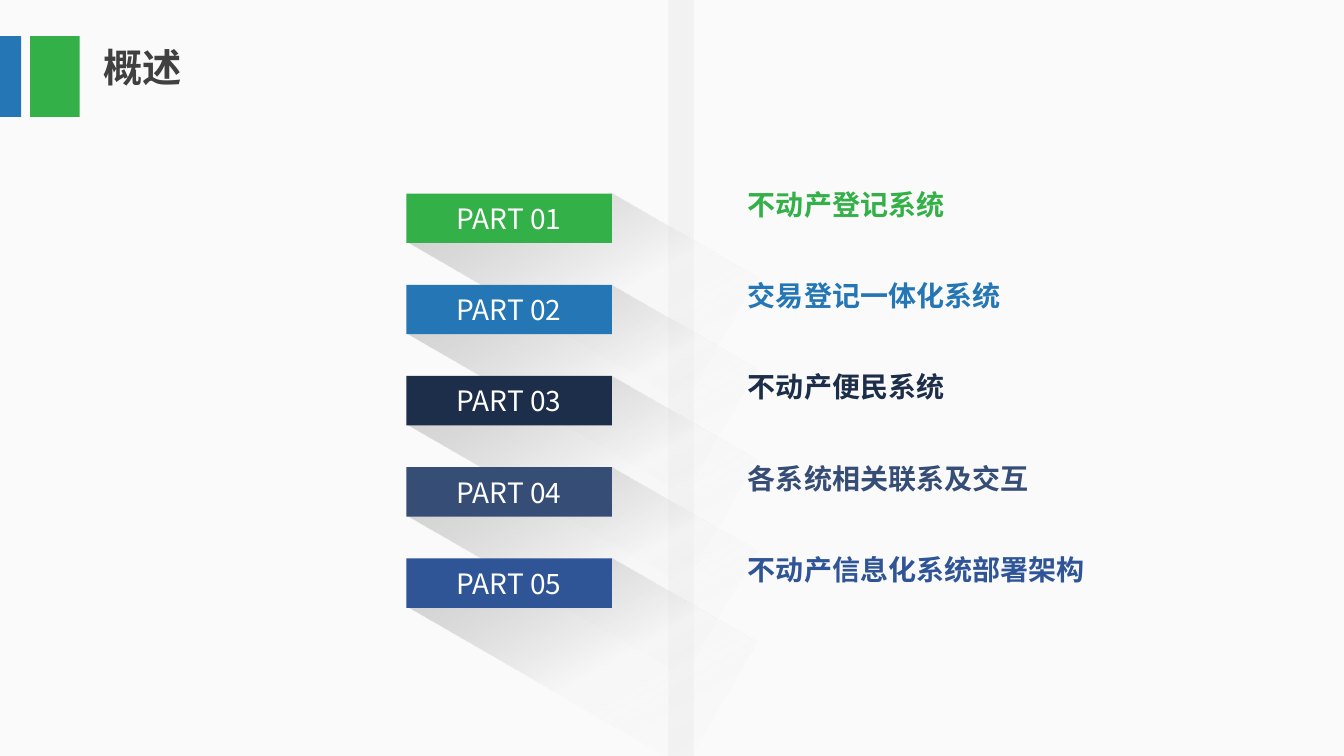
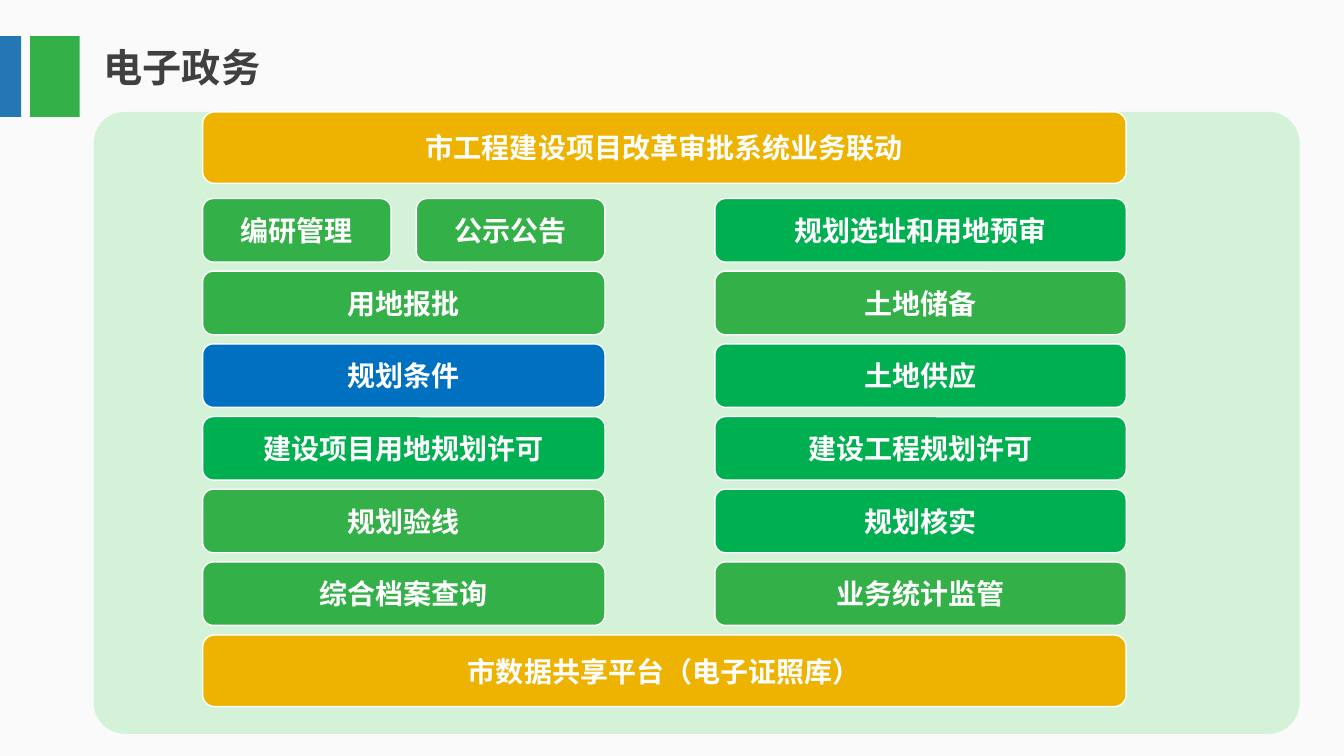
from dataclasses import dataclass

from lxml import etree
from pptx import Presentation
from pptx.dml.color import RGBColor
from pptx.enum import shapes, text
from pptx.oxml import ns
from pptx.util import Inches, Pt

RECT = shapes.MSO_SHAPE.RECTANGLE
ROUND = shapes.MSO_SHAPE.ROUNDED_RECTANGLE
LEFT, CENTER = text.PP_ALIGN.LEFT, text.PP_ALIGN.CENTER


@dataclass(frozen=True)
class Theme:
    font: str = "Noto Sans CJK SC"
    title_size: int = 28
    body_size: int = 20
    paper: str = "FAFAFA"
    band: str = "F2F2F2"
    ink: str = "404040"
    white: str = "FFFFFF"
    black: str = "000000"
    green: str = "33B048"
    blue: str = "2576B5"
    navy: str = "1D2E4B"
    slate: str = "364D76"
    royal: str = "2F5597"
    mint: str = "D3F2D8"
    emerald: str = "00B050"
    azure: str = "0070C0"
    amber: str = "EEB300"


T = Theme()


class Deck:
    """Style plus current slide; lengths are columns and rows of the grid."""
    COLS, ROWS = 133.3, 75

    def __init__(self):
        self.prs = Presentation()
        self.prs.slide_width, self.prs.slide_height = Inches(13.33), Inches(7.5)
        self.col = self.prs.slide_width / self.COLS
        self.row = self.prs.slide_height / self.ROWS
        self.paint(self.prs.slide_master.background.fill, T.paper)
        self.s = None

    def paint(self, fill, color):
        fill.solid()
        fill.fore_color.rgb = RGBColor.from_string(color)

    def place(self, x, y, w, h):
        return [round(n) for n in (x * self.col, y * self.row, w * self.col, h * self.row)]

    def new_slide(self):
        self.s = self.prs.slides.add_slide(self.prs.slide_layouts[6])

    def header(self, title):
        self.label(title, 9.3, 3.8, 36, 5.7, T.ink, T.title_size)
        self.box(3, 3.6, 4.9, 8, T.green)
        self.box(0, 3.6, 2.1, 8, T.blue)

    def set_text(self, tf, words, color, size=T.body_size, bold=True, align=LEFT):
        tf.word_wrap = True
        p = tf.paragraphs[0]
        p.alignment = align
        r = p.add_run()
        r.text = words
        style = {"size": Pt(size), "bold": bold, "name": T.font}
        for key, value in style.items():
            setattr(r.font, key, value)
        r.font.color.rgb = RGBColor.from_string(color)
        # East Asian typeface
        etree.SubElement(r._r.get_or_add_rPr(), ns.qn("a:ea"), typeface=T.font)

    def label(self, words, x, y, w, h, color, size=T.body_size):
        sp = self.s.shapes.add_textbox(*self.place(x, y, w, h))
        self.set_text(sp.text_frame, words, color, size)

    def box(self, x, y, w, h, color, words="", kind=RECT, line=None, bold=True, round_by=None):
        sp = self.s.shapes.add_shape(kind, *self.place(x, y, w, h))
        sp.shadow.inherit = False
        self.paint(sp.fill, color)
        if line:
            self.paint(sp.line.fill, line)
            sp.line.width = Pt(1)
        else:
            sp.line.fill.background()
        if round_by is not None:
            sp.adjustments[0] = round_by
        if words:
            sp.text_frame.vertical_anchor = text.MSO_ANCHOR.MIDDLE
            self.set_text(sp.text_frame, words, T.white, bold=bold, align=CENTER)

    def long_shadow(self, x, y, w, h):
        """Slanted shape, turned 30 degrees, that fades out down to the right."""
        corners = [(0, h), (0.48 * w, 0), (w, 0), (w, h)]
        pts = [self.place(x + dx, y + dy, 0, 0)[:2] for dx, dy in corners]
        fb = self.s.shapes.build_freeform(*pts[0])
        fb.add_line_segments(pts[1:], close=True)
        sp = fb.convert_to_shape()
        sp.rotation = 30
        sp.shadow.inherit = False
        sp.line.fill.background()
        # Gradient with transparent stops
        sp.fill.gradient()
        grad = sp._element.spPr.find(ns.qn("a:gradFill"))
        grad.set("rotWithShape", "0")
        for child in list(grad):
            grad.remove(child)
        stops = etree.SubElement(grad, ns.qn("a:gsLst"))
        for pos, color, alpha in ((0, T.black, 20), (61, T.band, 34), (100, T.band, 0)):
            gs = etree.SubElement(stops, ns.qn("a:gs"), pos=str(pos * 1000))
            clr = etree.SubElement(gs, ns.qn("a:srgbClr"), val=color)
            etree.SubElement(clr, ns.qn("a:alpha"), val=str(alpha * 1000))
        etree.SubElement(grad, ns.qn("a:lin"), ang=str(60 * 60000), scaled="0")


def overview(d):
    d.new_slide()
    d.box(66.3, 0, 2.5, d.ROWS, T.band)
    parts = [
        ("不动产登记系统", T.green),
        ("交易登记一体化系统", T.blue),
        ("不动产便民系统", T.navy),
        ("各系统相关联系及交互", T.slate),
        ("不动产信息化系统部署架构", T.royal),
    ]
    tops = [19.2 + 9.05 * i for i in range(len(parts))]
    # Shadows lie under every bar
    for y in tops:
        d.long_shadow(41.8, y - 0.6, 31.8, 14.3)
    d.header("概述")
    for i, (y, (words, color)) in enumerate(zip(tops, parts), 1):
        d.box(40.3, y, 20.4, 4.9, color, f"PART {i:02}", bold=False)
        d.label(words, 73.2, y - 1.1, 36, 4.4, color)


def e_government(d):
    d.new_slide()
    d.header("电子政务")
    d.box(9.3, 11.1, 119.6, 61.7, T.mint, kind=ROUND, round_by=0.05)
    left, right, left_w, right_w = 20.1, 70.9, 39.9, 40.8
    tile = {"kind": ROUND, "line": T.white}

    # Top and bottom bars
    for y, words in ((11.1, "市工程建设项目改革审批系统业务联动"),
                     (63, "市数据共享平台（电子证照库）")):
        d.box(left, y, right + right_w - left, 7.1, T.amber, words, **tile)

    # Two columns of business modules; the first left row is split in two
    half = 18.7
    rows = [
        ([("编研管理", T.green), ("公示公告", T.green)], ("规划选址和用地预审", T.emerald)),
        ([("用地报批", T.green)], ("土地储备", T.green)),
        ([("规划条件", T.azure)], ("土地供应", T.emerald)),
        ([("建设项目用地规划许可", T.emerald)], ("建设工程规划许可", T.emerald)),
        ([("规划验线", T.green)], ("规划核实", T.emerald)),
        ([("综合档案查询", T.green)], ("业务统计监管", T.green)),
    ]
    for i, (left_tiles, (words, color)) in enumerate(rows):
        y = 19.7 + 7.21 * i
        w = left_w if len(left_tiles) == 1 else half
        for j, (name, shade) in enumerate(left_tiles):
            d.box(left + j * (left_w - w), y, w, 6.3, shade, name, **tile)
        d.box(right, y, right_w, 6.3, color, words, **tile)


def main():
    d = Deck()
    overview(d)
    e_government(d)
    d.prs.save("out.pptx")


if __name__ == "__main__":
    main()
